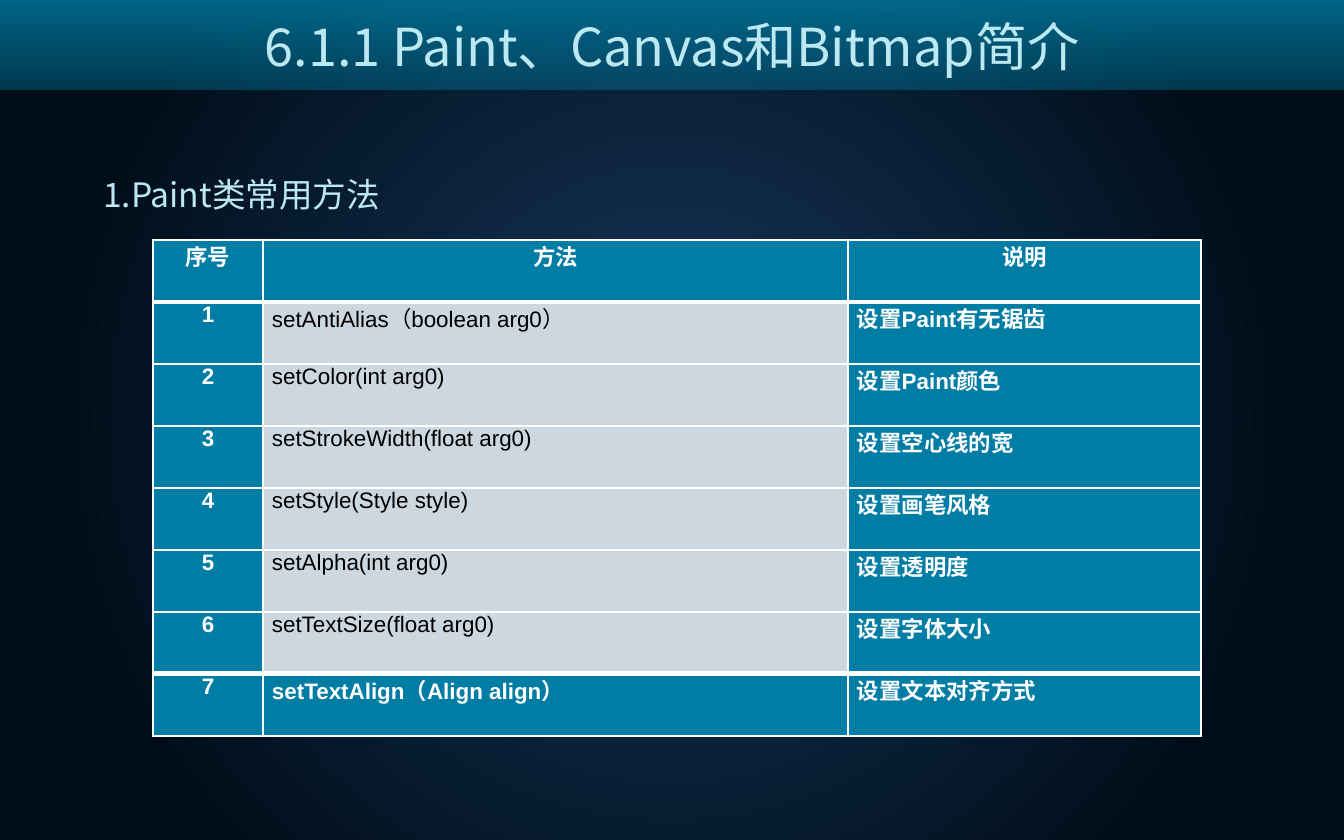
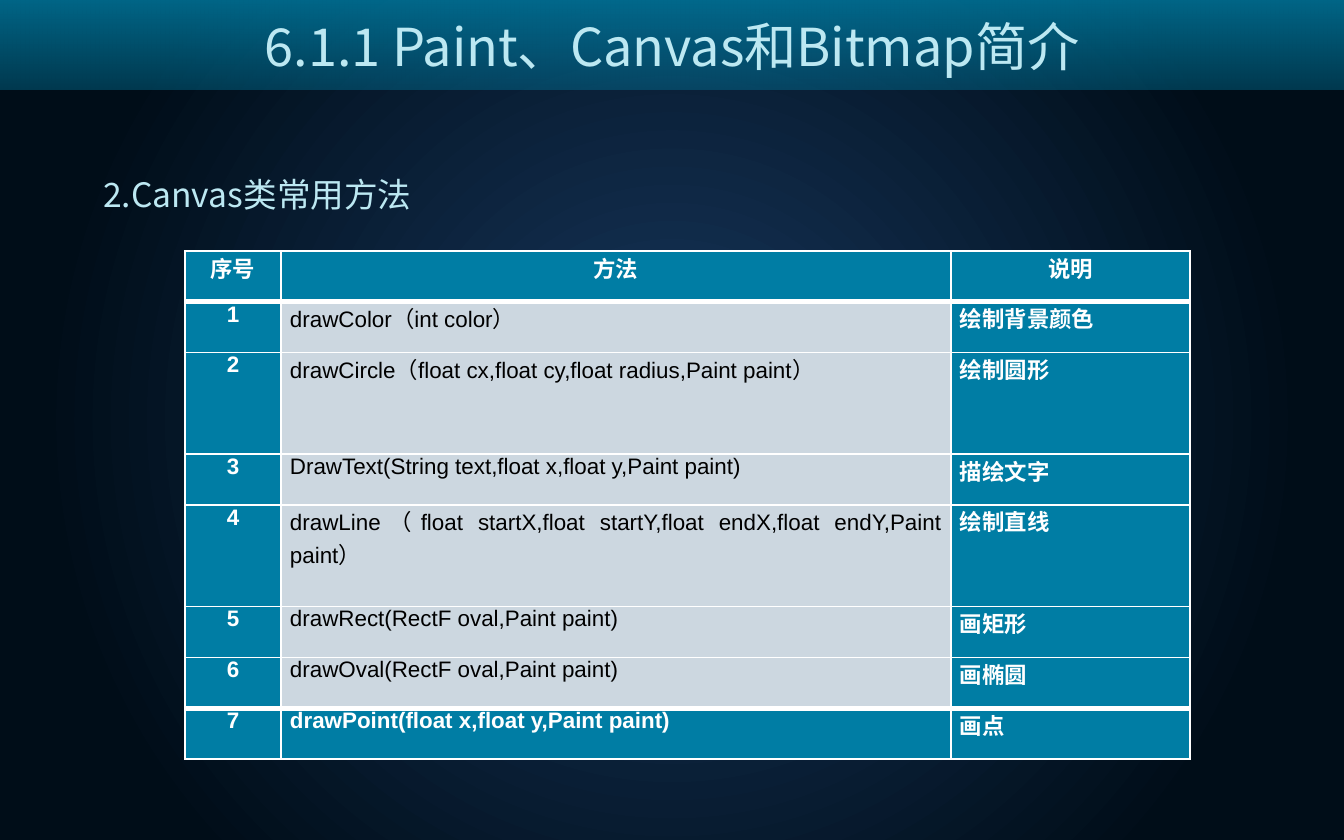
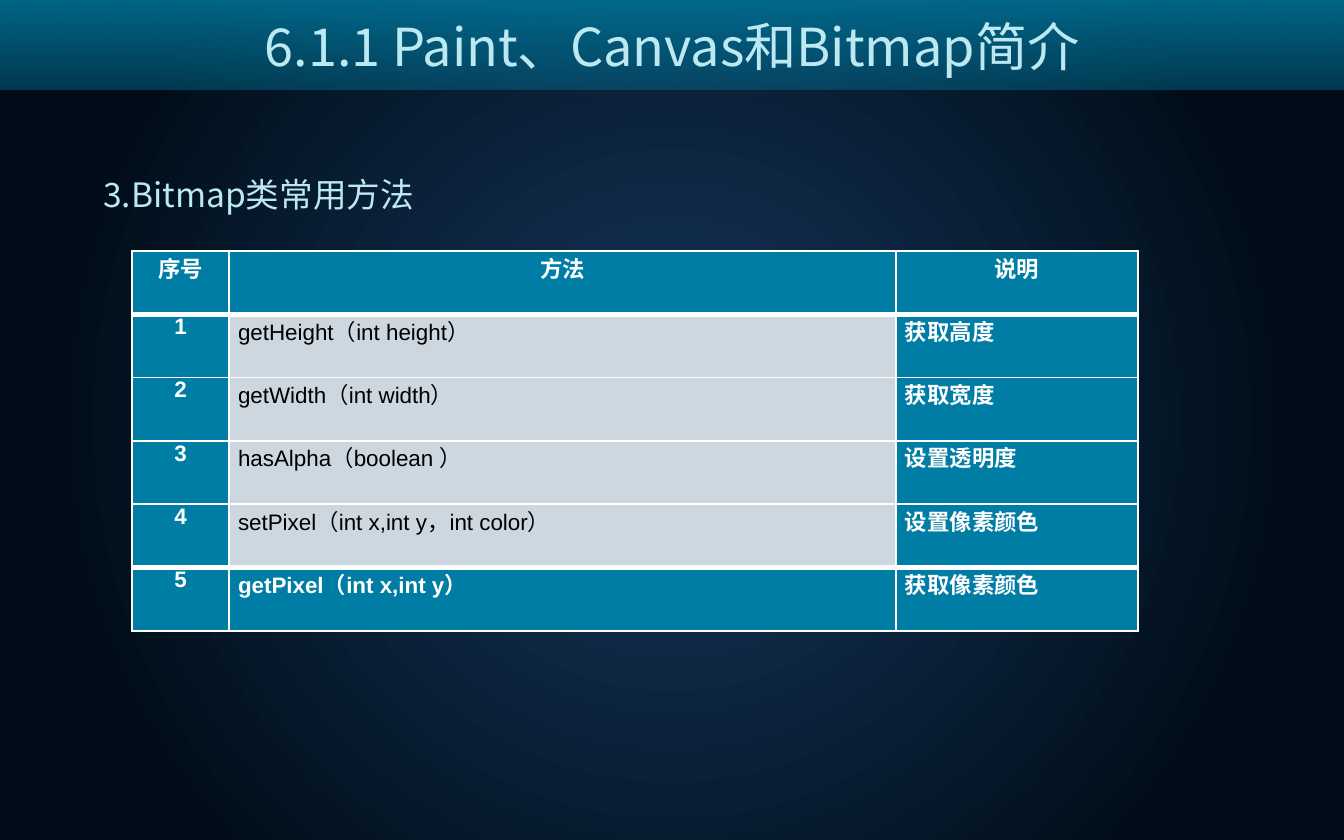
"""Build three slides that list the common methods of Paint, Canvas and Bitmap."""

from lxml.etree import SubElement
from pptx import Presentation
from pptx.dml.color import RGBColor
from pptx.enum.shapes import MSO_SHAPE
from pptx.enum.text import MSO_ANCHOR, MSO_AUTO_SIZE, PP_ALIGN
from pptx.oxml import parse_xml
from pptx.oxml.ns import nsdecls, qn
from pptx.util import Pt

PX = 914400 / 134.4
PAGE_WIDTH, PAGE_HEIGHT = 1344, 840
COLORS = {
    "glow": "17375E",
    "night": "000D18",
    "teal": "007DA4",
    "cyan": "4EC3DE",
    "ice": "BCE8F2",
    "mist": "CCD7E0",
    "white": "FFFFFF",
    "black": "000000",
}
CJK_FONT = "Noto Sans CJK SC"
TITLE = "6.1.1 Paint、Canvas和Bitmap简介"
HEADER = ("序号", "方法", "说明")
LINEAR = '<a:lin ang="{}" scaled="0"/>'
RADIAL = '<a:path path="circle"><a:fillToRect l="50000" t="50000" r="50000" b="50000"/></a:path>'

SECTIONS = [
    {
        "heading": "1.Paint类常用方法",
        "corner": (153, 240),
        "columns": (110, 585, 353),
        "height": 496,
        "tall_rows": (),
        "methods": [
            ("setAntiAlias（boolean arg0）", "设置Paint有无锯齿"),
            ("setColor(int arg0)", "设置Paint颜色"),
            ("setStrokeWidth(float arg0)", "设置空心线的宽"),
            ("setStyle(Style style)", "设置画笔风格"),
            ("setAlpha(int arg0)", "设置透明度"),
            ("setTextSize(float arg0)", "设置字体大小"),
            ("setTextAlign（Align align）", "设置文本对齐方式"),
        ],
    },
    {
        "heading": "2.Canvas类常用方法",
        "corner": (185, 251),
        "columns": (96, 670, 239),
        "height": 508,
        "tall_rows": (2, 4),
        "methods": [
            ("drawColor（int color）", "绘制背景颜色"),
            ("drawCircle（float cx,float cy,float radius,Paint paint）", "绘制圆形"),
            ("DrawText(String text,float x,float y,Paint paint)", "描绘文字"),
            ("drawLine（float startX,float startY,float endX,float endY,Paint paint）", "绘制直线"),
            ("drawRect(RectF oval,Paint paint)", "画矩形"),
            ("drawOval(RectF oval,Paint paint)", "画椭圆"),
            ("drawPoint(float x,float y,Paint paint)", "画点"),
        ],
    },
    {
        "heading": "3.Bitmap类常用方法",
        "corner": (132, 251),
        "columns": (97, 667, 242),
        "height": 380,
        "tall_rows": (),
        "methods": [
            ("getHeight（int height）", "获取高度"),
            ("getWidth（int width）", "获取宽度"),
            ("hasAlpha（boolean ）", "设置透明度"),
            ("setPixel（int x,int y，int color）", "设置像素颜色"),
            ("getPixel（int x,int y）", "获取像素颜色"),
        ],
    },
]


def gradient(stops, direction):
    """Return a gradient fill from (position, colour, opacity) stops in percent."""
    marks = "".join(
        f'<a:gs pos="{position * 1000}"><a:srgbClr val="{COLORS[color]}">'
        f'<a:alpha val="{opacity * 1000}"/></a:srgbClr></a:gs>'
        for position, color, opacity in stops
    )
    return parse_xml(
        f'<a:gradFill rotWithShape="1" {nsdecls("a")}><a:gsLst>{marks}</a:gsLst>{direction}</a:gradFill>'
    )


def write(frame, text, size, color, font=CJK_FONT, bold=False, align=PP_ALIGN.LEFT, before=0, after=0):
    """Put one formatted paragraph in a text frame and return its paragraph and run."""
    para = frame.paragraphs[0]
    para.alignment = align
    para.space_before, para.space_after = Pt(before), Pt(after)
    span = para.add_run()
    span.text = text
    span.font.size, span.font.bold, span.font.name = Pt(size), bold, font
    span.font.color.rgb = RGBColor.from_string(COLORS[color])
    SubElement(span.font._element, qn("a:ea"), typeface=CJK_FONT)
    return para, span


deck = Presentation()
deck.slide_width, deck.slide_height = round(PAGE_WIDTH * PX), round(PAGE_HEIGHT * PX)
layout = deck.slide_layouts[5]

background = parse_xml(f'<p:bg {nsdecls("p", "a")}><p:bgPr><a:effectLst/></p:bgPr></p:bg>')
background[0].insert(0, gradient([(0, "glow", 100), (80, "night", 100)], RADIAL))
layout.element.cSld.insert(0, background)

for number, section in enumerate(SECTIONS):
    page = deck.slides.add_slide(layout)

    if number == 0:
        band = page.shapes.add_shape(MSO_SHAPE.ROUND_2_SAME_RECTANGLE, 0, 0, deck.slide_width, round(90 * PX))
        band.adjustments[0] = band.adjustments[1] = 0
        band.shadow.inherit = False
        band.line.fill.background()
        properties = band.element.spPr
        properties.xfrm.set("flipV", "1")
        fill = gradient([(0, "teal", 39), (100, "teal", 80)], LINEAR.format(5400000))
        properties.insert(2, fill)
        layout.element.cSld.spTree.insert(2, band.element)

    title = page.shapes.title
    title.left, title.top, title.width, title.height = [round(value * PX) for value in (0, -3, PAGE_WIDTH, 85)]
    title.text_frame.auto_size = MSO_AUTO_SIZE.SHAPE_TO_FIT_TEXT
    title.text_frame.vertical_anchor = MSO_ANCHOR.MIDDLE
    para, span = write(title.text_frame, TITLE, size=28, color="ice", align=PP_ALIGN.CENTER, before=14)
    para.line_spacing = 1.2
    stops = [(0, "cyan", 100), (40, "ice", 100), (60, "ice", 100), (100, "cyan", 100)]
    span.font.fill.background()
    letters = span.font._element
    letters.replace(letters.find(qn("a:noFill")), gradient(stops, LINEAR.format(0)))

    box = page.shapes.add_textbox(*[round(value * PX) for value in (90, 167, 1048, 54)])
    box.text_frame.word_wrap = True
    box.text_frame.auto_size = MSO_AUTO_SIZE.SHAPE_TO_FIT_TEXT
    box.text_frame.vertical_anchor = MSO_ANCHOR.MIDDLE
    write(box.text_frame, section["heading"], size=18, color="ice")

    rows = [HEADER] + [(str(index), *method) for index, method in enumerate(section["methods"], 1)]
    last = len(rows) - 1
    area = (*section["corner"], sum(section["columns"]), section["height"])
    table = page.shapes.add_table(len(rows), len(HEADER), *[round(value * PX) for value in area]).table
    for column, width in zip(table.columns, section["columns"]):
        column.width = round(width * PX)
    row_unit = section["height"] / (len(rows) + len(section["tall_rows"]))

    for row_index, row in enumerate(rows):
        table.rows[row_index].height = round(row_unit * PX * (2 if row_index in section["tall_rows"] else 1))
        for column_index, text in enumerate(row):
            cell = table.cell(row_index, column_index)
            cell.margin_left = cell.margin_right = round(9 * PX)
            cell.margin_top = cell.margin_bottom = 0
            plain = column_index == 1 and 0 < row_index < last
            centred = row_index == 0 or column_index == 0
            write(
                cell.text_frame, text, size=12, font="Arial", bold=not plain,
                color="black" if plain else "white",
                align=PP_ALIGN.CENTER if centred else PP_ALIGN.JUSTIFY,
                before=8.1, after=8.1,
            )
            top = 3 if row_index in (1, last) else 1
            bottom = 3 if row_index in (0, last - 1) else 1
            for side, weight in (("L", 1), ("R", 1), ("T", top), ("B", bottom)):
                border = SubElement(cell._tc.get_or_add_tcPr(), qn(f"a:ln{side}"), w=str(Pt(weight)))
                paint = SubElement(border, qn("a:solidFill"))
                SubElement(paint, qn("a:srgbClr"), val=COLORS["white"])
            cell.fill.solid()
            cell.fill.fore_color.rgb = RGBColor.from_string(COLORS["mist" if plain else "teal"])

deck.save("out.pptx")
